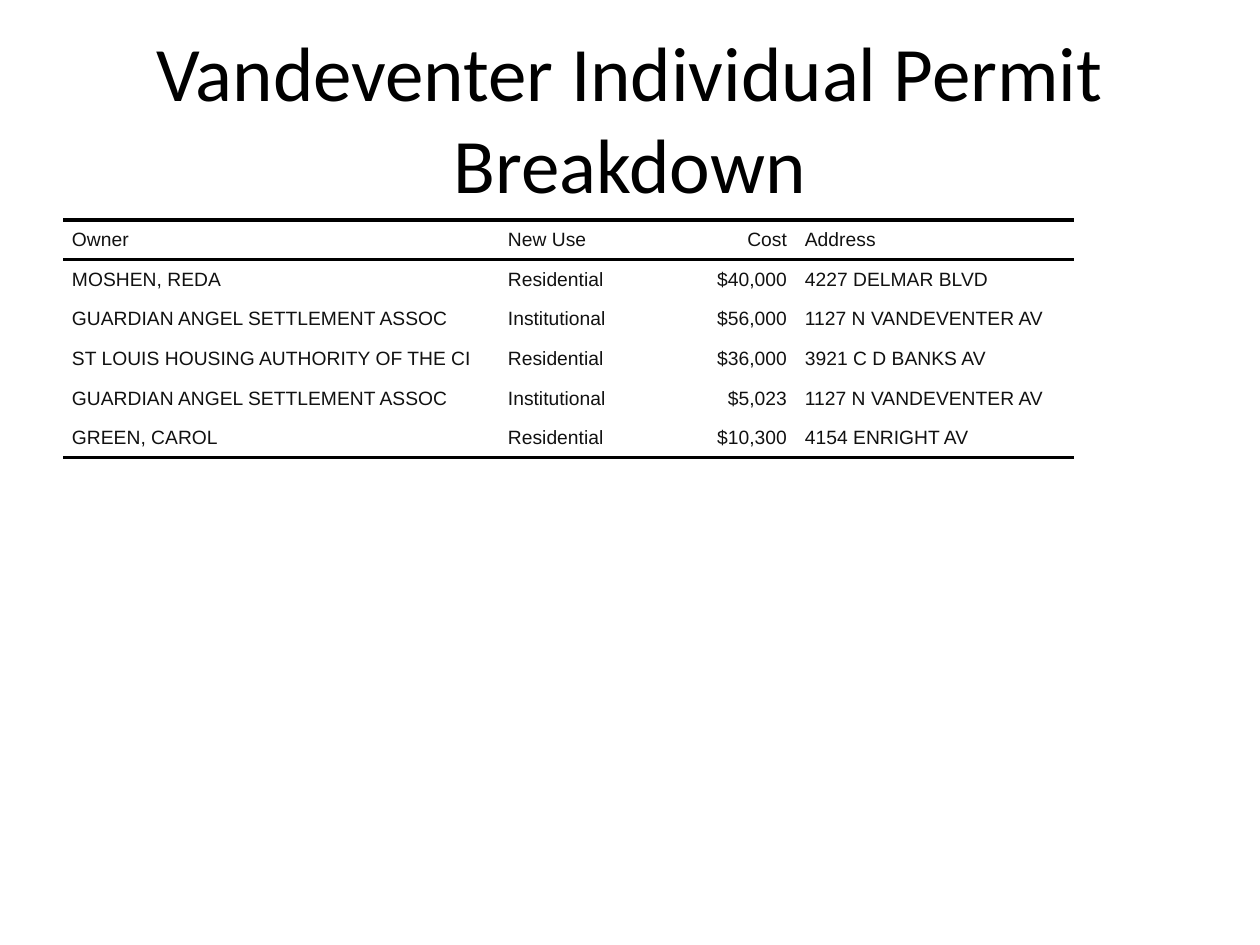
from lxml.etree import SubElement
from pptx import Presentation
from pptx.dml.color import RGBColor
from pptx.enum.text import MSO_ANCHOR as Anchor, PP_ALIGN as Align
from pptx.oxml.ns import qn
from pptx.util import Inches, Pt

PX = Inches(1) // 126
BLACK = RGBColor(0x00, 0x00, 0x00)
INK = RGBColor(0x11, 0x11, 0x11)
PLAIN_STYLE = "{2D5ABB26-0587-4C30-8999-92F81FD0307C}"

COLUMN_WIDTHS = (436, 134, 163, 278)
ALIGNS = (Align.LEFT, Align.LEFT, Align.RIGHT, Align.LEFT)
ROWS = (
    ("Owner", "New Use", "Cost", "Address"),
    ("MOSHEN, REDA", "Residential", "$40,000", "4227 DELMAR BLVD"),
    ("GUARDIAN ANGEL SETTLEMENT ASSOC", "Institutional", "$56,000", "1127 N VANDEVENTER AV"),
    ("ST LOUIS HOUSING AUTHORITY OF THE CI", "Residential", "$36,000", "3921 C D BANKS AV"),
    ("GUARDIAN ANGEL SETTLEMENT ASSOC", "Institutional", "$5,023", "1127 N VANDEVENTER AV"),
    ("GREEN, CAROL", "Residential", "$10,300", "4154 ENRIGHT AV"),
)


def px(length):
    """Turn whole pixels into EMU."""
    return length * PX


def write(frame, text, *, font, size, color, align):
    """Put one formatted line of text in a text frame."""
    para = frame.paragraphs[0]
    para.alignment = align
    span = para.add_run()
    span.text = text
    span.font.name = font
    span.font.size = Pt(size)
    span.font.color.rgb = color


def add_title(page, text):
    """Add the centred slide title."""
    box = page.shapes.add_textbox(px(63), px(38), px(1134), px(157))
    frame = box.text_frame
    frame.word_wrap = True
    frame.vertical_anchor = Anchor.MIDDLE
    write(frame, text, font="Calibri", size=44, color=BLACK, align=Align.CENTER)


def add_rule(cell, side):
    """Draw a black rule on the top (T) or bottom (B) of a cell."""
    properties = cell._tc.get_or_add_tcPr()
    line = SubElement(properties, qn(f"a:ln{side}"), w=str(Pt(2)))
    fill = SubElement(line, qn("a:solidFill"))
    SubElement(fill, qn("a:srgbClr"), val=str(BLACK))


def fill_cell(cell, text, align, sides):
    """Format a cell, rule the given sides and write its text."""
    cell.margin_left = cell.margin_right = px(9)
    cell.margin_top = cell.margin_bottom = 0
    cell.vertical_anchor = Anchor.MIDDLE
    for side in sides:
        add_rule(cell, side)
    cell.fill.background()
    write(cell.text_frame, text, font="Arial", size=11, color=INK, align=align)


def add_permit_table(page):
    """Add the permit table with rules around its header and at its foot."""
    height = px(238)
    frame = page.shapes.add_table(
        len(ROWS), len(COLUMN_WIDTHS), px(63), px(220), px(sum(COLUMN_WIDTHS)), height
    )
    table = frame.table
    table.first_row = table.horz_banding = False
    table._tbl.tblPr.find(qn("a:tableStyleId")).text = PLAIN_STYLE
    for column, width in zip(table.columns, COLUMN_WIDTHS):
        column.width = px(width)
    rules = {0: "TB", len(ROWS) - 1: "B"}
    for r, texts in enumerate(ROWS):
        table.rows[r].height = height // len(ROWS)
        for c, text in enumerate(texts):
            fill_cell(table.cell(r, c), text, ALIGNS[c], rules.get(r, ""))


def main():
    """Build and save the slide."""
    deck = Presentation()
    deck.slide_width, deck.slide_height = px(1260), px(945)
    page = deck.slides.add_slide(deck.slide_layouts[6])
    add_title(page, "Vandeventer Individual Permit Breakdown")
    add_permit_table(page)
    deck.save("out.pptx")


if __name__ == "__main__":
    main()
